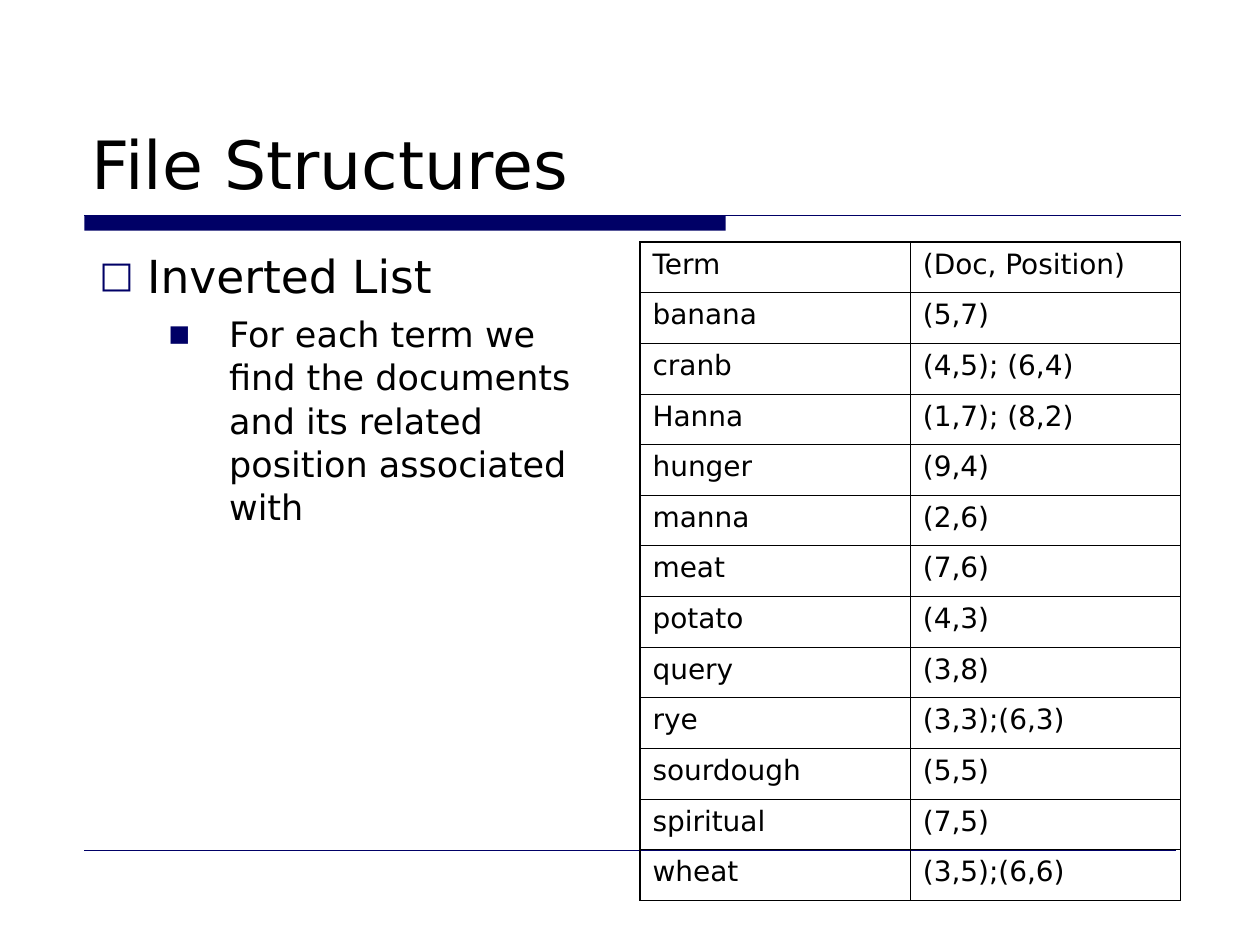
from lxml.etree import SubElement
from pptx import Presentation
from pptx.dml.color import RGBColor
from pptx.enum.shapes import MSO_CONNECTOR, MSO_SHAPE
from pptx.enum.text import MSO_ANCHOR
from pptx.oxml import parse_xml
from pptx.oxml.ns import nsdecls, qn
from pptx.util import Inches, Pt

COLORS = {"navy": "000066", "black": "000000"}
FONT = "DejaVu Sans"


def write(p, text, size, before=0, spacing=None, bullet=None, bullet_pct=100, margin=0, indent=0):
    p.space_before = Pt(before)
    if spacing:
        p.line_spacing = spacing
    r = p.add_run()
    r.text = text
    r.font.size = Pt(size)
    r.font.name = FONT
    r.font.color.rgb = RGBColor.from_string(COLORS["black"])
    if bullet:
        pPr = p._p.get_or_add_pPr()
        pPr.set("marL", str(Inches(margin)))
        pPr.set("indent", str(Inches(indent)))
        clr = SubElement(pPr, qn("a:buClr"))
        SubElement(clr, qn("a:srgbClr"), val=COLORS["navy"])
        SubElement(pPr, qn("a:buSzPct"), val=str(bullet_pct * 1000))
        SubElement(pPr, qn("a:buFont"), typeface=FONT)
        SubElement(pPr, qn("a:buChar"), char=bullet)


prs = Presentation()
prs.slide_width, prs.slide_height = Inches(10), Inches(7.5)
s = prs.slides.add_slide(prs.slide_layouts[6])

bar = s.shapes.add_shape(MSO_SHAPE.RECTANGLE, Inches(0.67), Inches(1.71), Inches(5.09), Inches(0.12))
bar.shadow.inherit = False
bar.fill.solid()
bar.fill.fore_color.rgb = RGBColor.from_string(COLORS["navy"])
bar.line.fill.background()

for y, right, width in ((1.71, 9.37, 0.75), (6.75, 9.33, 0.25)):
    rule = s.shapes.add_connector(MSO_CONNECTOR.STRAIGHT, Inches(0.67), Inches(y), Inches(right), Inches(y))
    rule.line.color.rgb = RGBColor.from_string(COLORS["navy"])
    rule.line.width = Pt(width)
    SubElement(rule._element.spPr, qn("a:effectLst"))

title = s.shapes.add_textbox(Inches(0.63), Inches(0.33), Inches(8.75), Inches(1.33))
tf = title.text_frame
tf.word_wrap = True
tf.vertical_anchor = MSO_ANCHOR.BOTTOM
write(tf.paragraphs[0], "File Structures", 38)

body = s.shapes.add_textbox(Inches(0.62), Inches(1.92), Inches(4.29), Inches(4.67))
tf = body.text_frame
tf.word_wrap = True
write(tf.paragraphs[0], "Inverted List", 26, before=6.5,
      bullet="□", bullet_pct=80, margin=0.45, indent=-0.38)
p = tf.add_paragraph()
p.level = 1
write(p, "For each term we find the documents and its related position associated with", 20,
      before=5, spacing=1.03, bullet="■", bullet_pct=65, margin=1.1, indent=-0.48)

rows = [
    ("Term", "(Doc, Position)"),
    ("banana", "(5,7)"),
    ("cranb", "(4,5); (6,4)"),
    ("Hanna", "(1,7); (8,2)"),
    ("hunger", "(9,4)"),
    ("manna", "(2,6)"),
    ("meat", "(7,6)"),
    ("potato", "(4,3)"),
    ("query", "(3,8)"),
    ("rye", "(3,3);(6,3)"),
    ("sourdough", "(5,5)"),
    ("spiritual", "(7,5)"),
    ("wheat", "(3,5);(6,6)"),
]
last = len(rows) - 1
table = s.shapes.add_table(len(rows), 2, Inches(5.08), Inches(1.92), Inches(4.29), Inches(5.23)).table
table.first_row = False
table.horz_banding = False
for i, row in enumerate(rows):
    for j, text in enumerate(row):
        cell = table.cell(i, j)
        cell.fill.background()
        write(cell.text_frame.paragraphs[0], text, 16, before=4)
        outer = {"L": j == 0, "R": j == 1, "T": i == 0, "B": i == last}
        for k, (side, is_outer) in enumerate(outer.items()):
            width = Pt(1.08 if is_outer else 0.45)
            border = parse_xml(
                f'<a:ln{side} {nsdecls("a")} w="{width}"><a:solidFill>'
                f'<a:srgbClr val="{COLORS["black"]}"/></a:solidFill></a:ln{side}>')
            cell._tc.get_or_add_tcPr().insert(k, border)

prs.save("out.pptx")
